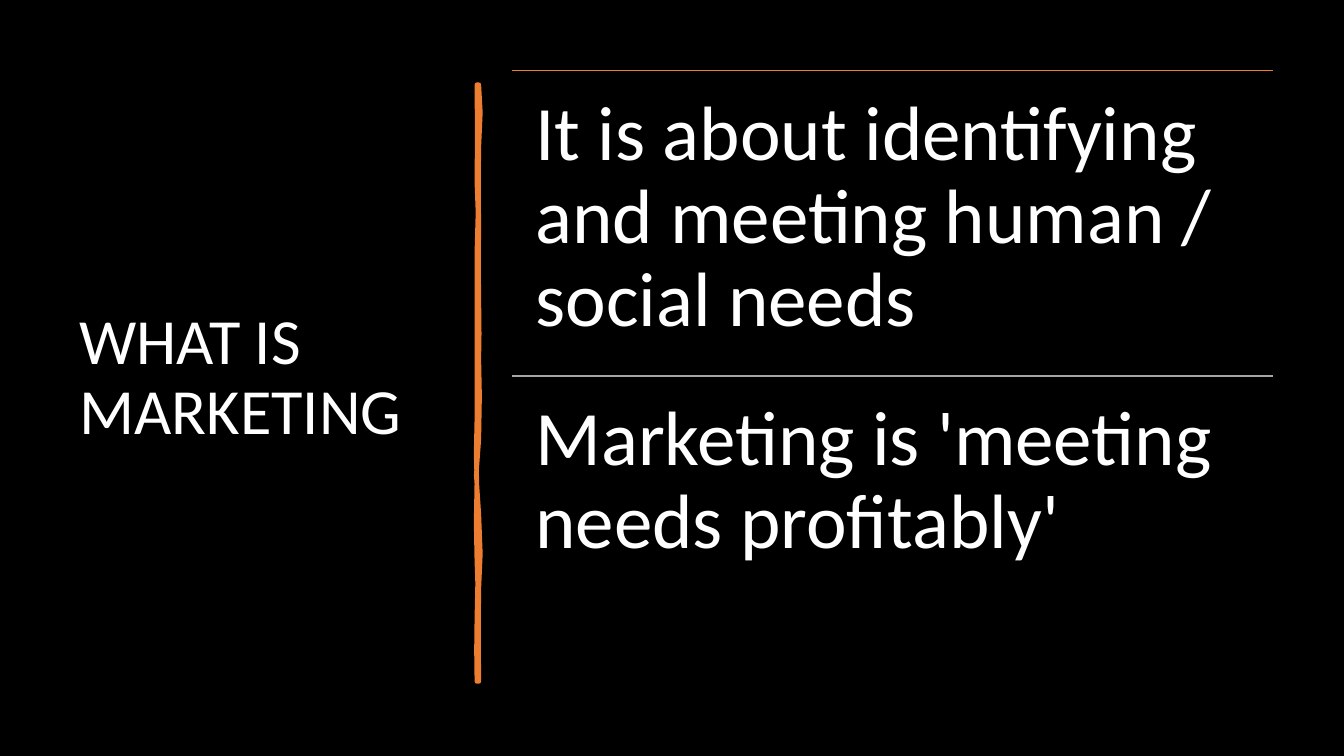
from dataclasses import dataclass

from lxml.etree import SubElement
from pptx import Presentation
from pptx.dml.color import RGBColor as RGB
from pptx.enum.shapes import MSO_CONNECTOR as Connector
from pptx.enum.text import MSO_ANCHOR as Anchor
from pptx.oxml.ns import qn
from pptx.util import Pt

PX = 9144  # EMU in one px, 100 px to the inch


@dataclass(frozen=True)
class Theme:
    font: str = "Calibri"
    background: RGB = RGB(0x00, 0x00, 0x00)
    text: RGB = RGB(0xFF, 0xFF, 0xFF)
    accent: RGB = RGB(0xED, 0x7D, 0x31)
    muted: RGB = RGB(0xA5, 0xA5, 0xA5)
    title_size: int = 46
    body_size: int = 55
    rule_width: float = 1
    stroke_width: float = 3.25


THEME = Theme()

# Hand-drawn stroke: each row is two control points and an end point
STROKE_START = (475, 84)
STROKE_CURVES = [
    # Right edge, downwards
    (477, 102, 477, 119, 475, 146),
    (473, 173, 476, 195, 475, 226),
    (474, 257, 475, 262, 475, 294),
    (474, 325, 477, 342, 475, 356),
    (473, 370, 479, 414, 475, 436),
    (471, 457, 472, 484, 475, 510),
    (477, 536, 477, 564, 475, 584),
    (473, 603, 476, 650, 475, 676),
    # Bottom end
    (474, 676, 473, 676, 473, 676),
    # Left edge, upwards
    (474, 646, 471, 644, 473, 613),
    (474, 583, 474, 570, 473, 557),
    (472, 544, 472, 495, 473, 477),
    (473, 459, 471, 445, 473, 415),
    (474, 386, 472, 373, 473, 335),
    (474, 298, 472, 281, 473, 250),
    (474, 218, 475, 200, 473, 181),
    (470, 163, 477, 104, 473, 84),
]


def add_text(s, text, box, size, inset, anchor=Anchor.TOP, space_after=0):
    left, top, width, height = (n * PX for n in box)
    tf = s.shapes.add_textbox(left, top, width, height).text_frame
    tf.word_wrap = True
    tf.vertical_anchor = anchor
    tf.margin_left = tf.margin_right = inset[0] * PX
    tf.margin_top = tf.margin_bottom = inset[1] * PX
    p = tf.paragraphs[0]
    p.text = text
    p.line_spacing = 0.9
    p.space_after = Pt(space_after)
    font = p.runs[0].font
    font.name, font.size = THEME.font, Pt(size)
    font.color.rgb = THEME.text


def add_rule(s, left, right, y, color):
    line = s.shapes.add_connector(
        Connector.STRAIGHT, left * PX, y * PX, right * PX, y * PX)
    line.line.color.rgb = color
    line.line.width = Pt(THEME.rule_width)
    SubElement(line._element.spPr, qn("a:effectLst"))


def curve_points(start, curves):
    """Give the middle and the end of each cubic curve in a chain."""
    points = []
    x0, y0 = start
    for x1, y1, x2, y2, x3, y3 in curves:
        points.append(((x0 + 3 * x1 + 3 * x2 + x3) / 8,
                       (y0 + 3 * y1 + 3 * y2 + y3) / 8))
        points.append((x3, y3))
        x0, y0 = x3, y3
    return points


def add_stroke(s, start, curves, color):
    builder = s.shapes.build_freeform(
        start[0] * PX, start[1] * PX, scale=1.0)
    builder.add_line_segments(
        [(round(x * PX), round(y * PX))
         for x, y in curve_points(start, curves)], close=True)
    sp = builder.convert_to_shape()
    sp.shadow.inherit = False
    sp.fill.solid()
    sp.fill.fore_color.rgb = color
    sp.line.color.rgb = color
    sp.line.width = Pt(THEME.stroke_width)


def main():
    prs = Presentation()
    prs.slide_width, prs.slide_height = 1333 * PX, 750 * PX
    s = prs.slides.add_slide(prs.slide_layouts[6])
    s.background.fill.solid()
    s.background.fill.fore_color.rgb = THEME.background

    # Title and the stroke beside it
    add_text(s, "WHAT IS MARKETING", (69, 70, 374, 611),
             THEME.title_size, (10, 5), Anchor.MIDDLE)
    add_stroke(s, STROKE_START, STROKE_CURVES, THEME.accent)

    # Statements, each under its own rule
    left, top, width, height = 508, 70, 755, 303
    statements = [
        ("It is about identifying and meeting human / social needs",
         THEME.accent),
        ("Marketing is 'meeting needs profitably'", THEME.muted),
    ]
    for i, (text, color) in enumerate(statements):
        y = top + i * height
        add_rule(s, left, left + width, y, color)
        add_text(s, text, (left, y, width, height),
                 THEME.body_size, (23, 23), space_after=19)

    prs.save("out.pptx")


if __name__ == "__main__":
    main()
